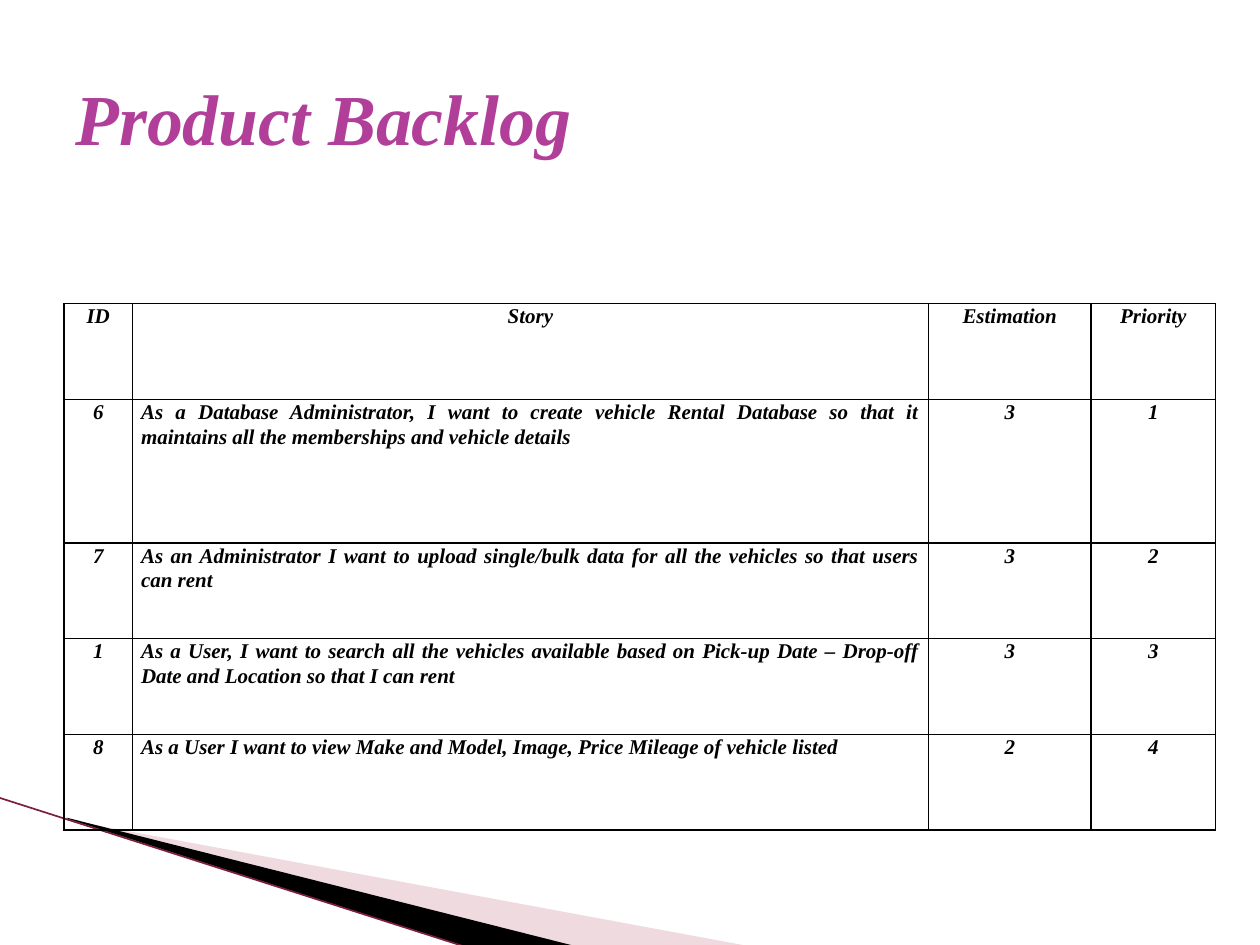
from dataclasses import dataclass

from lxml.etree import SubElement
from pptx import Presentation
from pptx.dml.color import RGBColor as RGB
from pptx.enum.shapes import MSO_CONNECTOR as CONN
from pptx.enum.text import MSO_ANCHOR as ANCHOR, PP_ALIGN as ALIGN
from pptx.oxml.ns import qn
from pptx.util import Inches, Pt


@dataclass(frozen=True)
class Theme:
    font: str = "Times New Roman"
    title_size: float = 41
    cell_size: float = 12
    title: str = "B13F9A"
    ink: str = "000000"
    wedge: str = "D8A3AF"
    edge: str = "7B1F3A"


THEME = Theme()
COLUMNS = [0.54, 6.32, 1.29, 0.99]
ROWS = [0.76, 1.14, 0.76, 0.76, 0.76]
BACKLOG = [
    ("ID", "Story", "Estimation", "Priority"),
    ("6", "As a Database Administrator, I want to create vehicle Rental Database "
          "so that it maintains all the memberships and vehicle details", "3", "1"),
    ("7", "As an Administrator I want to upload single/bulk data for all the "
          "vehicles so that users can rent", "3", "2"),
    ("1", "As a User, I want to search all the vehicles available based on Pick-up "
          "Date – Drop-off Date and Location so that I can rent", "3", "3"),
    ("8", "As a User I want to view Make and Model, Image, Price Mileage of "
          "vehicle listed", "2", "4"),
]


def set_all(obj, values):
    for name, value in values.items():
        setattr(obj, name, value)


def write(tf, text, size, color, **paragraph):
    p = tf.paragraphs[0]
    set_all(p, paragraph)
    r = p.add_run()
    r.text = text
    set_all(r.font, dict(name=THEME.font, size=Pt(size), bold=True, italic=True))
    r.font.color.rgb = RGB.from_string(color)


def add_wedge(s, points, color, opacity=100):
    start, *rest = [(Inches(x), Inches(y)) for x, y in points]
    builder = s.shapes.build_freeform(*start)
    builder.add_line_segments(rest, close=True)
    sp = builder.convert_to_shape()
    sp.shadow.inherit = False
    sp.fill.solid()
    sp.fill.fore_color.rgb = RGB.from_string(color)
    sp.line.fill.background()
    if opacity < 100:
        clr = sp.fill._xPr.find(f".//{qn('a:srgbClr')}")
        SubElement(clr, qn("a:alpha"), val=str(opacity * 1000))


def add_edge(s, start, end, color, width):
    ends = [Inches(v) for v in (*start, *end)]
    line = s.shapes.add_connector(CONN.STRAIGHT, *ends)
    line.line.color.rgb = RGB.from_string(color)
    line.line.width = Pt(width)
    SubElement(line._element.spPr, qn("a:effectLst"))


def add_borders(cell, color, width):
    tc_pr = cell._tc.get_or_add_tcPr()
    for i, side in enumerate(("lnL", "lnR", "lnT", "lnB")):
        ln = tc_pr.makeelement(qn(f"a:{side}"), {"w": str(Pt(width))})
        fill = SubElement(ln, qn("a:solidFill"))
        SubElement(fill, qn("a:srgbClr"), val=color)
        tc_pr.insert(i, ln)  # borders come before the fill


def add_backlog(s, left, top):
    box = [Inches(v) for v in (left, top, sum(COLUMNS), sum(ROWS))]
    table = s.shapes.add_table(len(ROWS), len(COLUMNS), *box).table
    set_all(table, dict(first_row=False, horz_banding=False))
    for col, width in zip(table.columns, COLUMNS):
        col.width = Inches(width)
    for i, (height, texts) in enumerate(zip(ROWS, BACKLOG)):
        table.rows[i].height = Inches(height)
        for j, text in enumerate(texts):
            cell = table.cell(i, j)
            set_all(cell, dict(margin_left=Inches(0.07), margin_right=Inches(0.07),
                               margin_top=0, margin_bottom=0))
            cell.fill.background()
            add_borders(cell, THEME.ink, 1)
            is_story = i > 0 and j == 1
            write(cell.text_frame, text, THEME.cell_size, THEME.ink, line_spacing=1.06,
                  alignment=ALIGN.JUSTIFY if is_story else ALIGN.CENTER)


def add_title(s, text):
    box = [Inches(v) for v in (0.5, 0.3, 9, 1.25)]
    tf = s.shapes.add_textbox(*box).text_frame
    set_all(tf, dict(word_wrap=True, vertical_anchor=ANCHOR.MIDDLE))
    write(tf, text, THEME.title_size, THEME.title, alignment=ALIGN.LEFT)


def main():
    prs = Presentation()
    set_all(prs, dict(slide_width=Inches(10), slide_height=Inches(7.5)))
    s = prs.slides.add_slide(prs.slide_layouts[6])

    # Corner decoration
    add_wedge(s, [(0.55, 6.51), (5.95, 7.51), (4.56, 7.51), (0.55, 6.5)], THEME.wedge, 40)
    add_wedge(s, [(0.53, 6.49), (4.57, 7.51), (3.72, 7.52), (0.54, 6.5)], THEME.ink)
    add_edge(s, (-0.01, 6.33), (3.71, 7.52), THEME.edge, 0.95)

    # Content
    add_backlog(s, 0.51, 2.41)
    add_title(s, "Product Backlog")

    prs.save("out.pptx")


if __name__ == "__main__":
    main()
